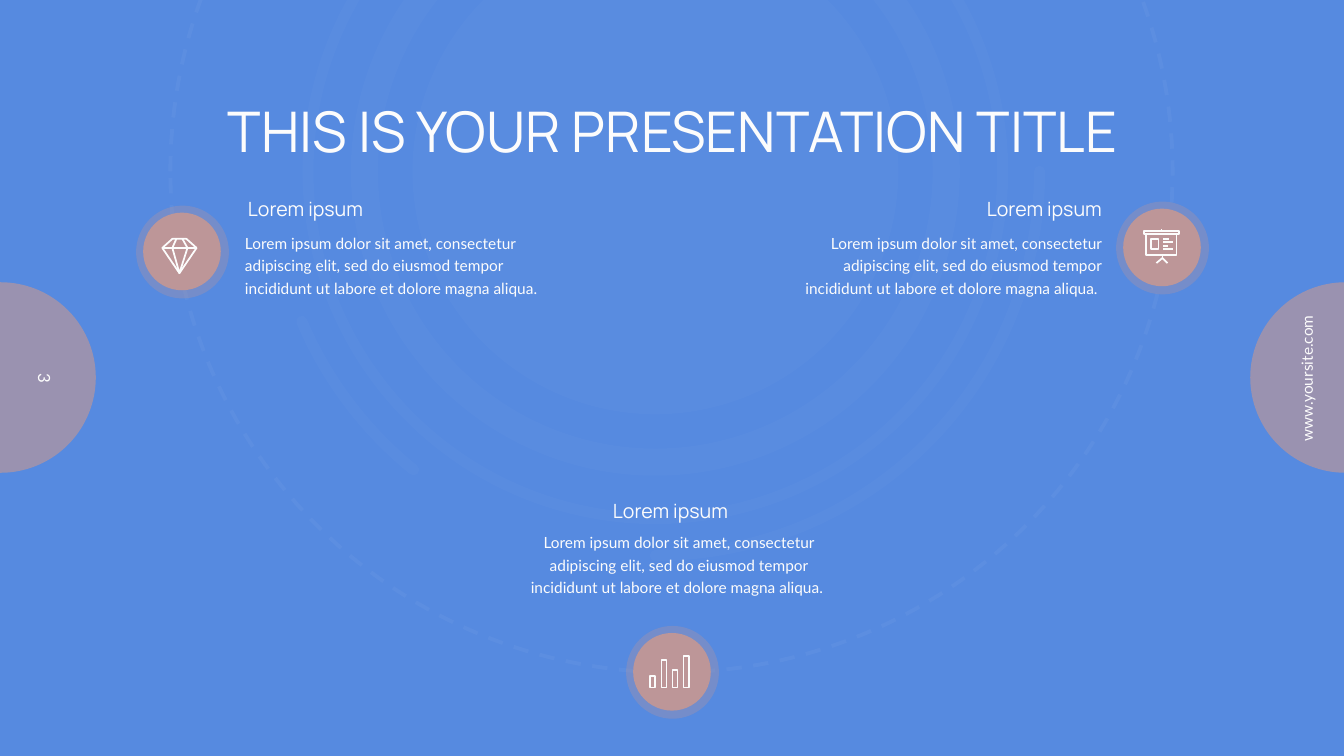
from lxml.etree import SubElement
from pptx import Presentation
from pptx.dml.color import RGBColor
from pptx.enum.dml import MSO_LINE
from pptx.enum.shapes import MSO_SHAPE
from pptx.enum.text import MSO_ANCHOR, PP_ALIGN
from pptx.oxml.ns import qn
from pptx.util import Pt

SCALE = 9144  # EMU per px, 100 px to the inch
COLORS = {"background": "568AE0", "side": "9A92B0", "badge": "BD9698", "white": "FCFCFC"}
BLURB = ("Lorem ipsum dolor sit amet, consectetur adipiscing elit, sed do "
         "eiusmod tempor incididunt ut labore et dolore magna aliqua. ")

# Icon strokes, in px from the corner of a badge: (points, closed)
DIAMOND = [
    ([(36, 33), (50, 33), (60, 42), (43, 67), (26, 42)], True),
    ([(26, 42), (60, 42)], False),
    ([(40, 33), (36, 42), (43, 67), (51, 42), (46, 33)], False),
]
BARS = [
    ([(x, top), (x + 5, top), (x + 5, 61), (x, 61)], True)
    for x, top in zip(range(24, 68, 11), (50, 34, 44, 30))
]
BOARD = [
    ([(28, 29), (62, 29), (62, 32), (28, 32)], True),
    ([(30, 32), (60, 32), (60, 53), (30, 53)], True),
    ([(35, 37), (42, 37), (42, 47), (35, 47)], True),
    ([(45, 28), (46, 28)], False),
    ([(46, 53), (46, 56)], False),
    ([(40, 61), (46, 56), (51, 61)], False),
] + [([(47, y), (end, y)], False) for y, end in ((37, 52), (40, 56), (44, 51), (47, 56))]


def px(*lengths):
    return [length * SCALE for length in lengths]


def color(name):
    return RGBColor.from_string(COLORS[name])


def set_opacity(shape, percent):
    for tint in shape.element.iter(qn("a:srgbClr")):
        SubElement(tint, qn("a:alpha"), val=str(percent * 1000))


def add_filled(page, kind, box, fill, opacity=100):
    shape = page.shapes.add_shape(kind, *px(*box))
    shape.shadow.inherit = False
    shape.fill.solid()
    shape.fill.fore_color.rgb = color(fill)
    shape.line.fill.background()
    if opacity < 100:
        set_opacity(shape, opacity)
    return shape


def set_outline(shape, width):
    shape.shadow.inherit = False
    shape.fill.background()
    shape.line.color.rgb = color("white")
    shape.line.width = Pt(width)


def add_text(page, box, text, size, font="Lato", align=PP_ALIGN.CENTER,
             inset=0, spacing=None, rotation=0, wrap=True):
    label = page.shapes.add_textbox(*px(*box))
    label.rotation = rotation
    frame = label.text_frame
    frame.word_wrap = wrap
    if inset == 0:
        frame.margin_left = frame.margin_right = 0
        frame.margin_top = frame.margin_bottom = 0
    para = frame.paragraphs[0]
    para.text = text
    para.alignment = align
    if spacing:
        para.line_spacing = spacing
    para.font.size = Pt(size)
    para.font.name = font
    para.font.color.rgb = color("white")
    return frame


def draw_sides(page, top, page_width):
    """Half circles at both edges with page number and site address."""
    size = 189
    for center in (0, page_width + 1):
        add_filled(page, MSO_SHAPE.OVAL, (center - size // 2, top, size, size), "side")
    number = add_text(page, (-3, top + 51, 95, 89), "3", 12, inset=None, rotation=90)
    number.vertical_anchor = MSO_ANCHOR.MIDDLE
    add_text(page, (page_width - 110, top + 81, 147, 29), "www.yoursite.com", 11,
             inset=None, rotation=270, wrap=False)


def draw_backdrop(page, center_x, center_y):
    """Faint disc, rings and arcs around one center."""
    def square(radius):
        return center_x - radius, center_y - radius, 2 * radius, 2 * radius

    orbit = page.shapes.add_shape(MSO_SHAPE.OVAL, *px(169, -327, 994, 994))
    set_outline(orbit, 2.75)
    orbit.line.dash_style = MSO_LINE.DASH
    set_opacity(orbit, 4)

    add_filled(page, MSO_SHAPE.OVAL, square(241), "white", 2)
    for radius, thickness in ((302, 27), (350, 11)):
        ring = add_filled(page, MSO_SHAPE.DONUT, square(radius), "white", 2)
        ring.adjustments[0] = thickness / (2 * radius)

    for start, end in ((129, 157), (0, 90)):
        arc = page.shapes.add_shape(MSO_SHAPE.ARC, *px(*square(381)))
        arc.adjustments[0] = start * 0.6  # 60000 units a degree, over 100000
        arc.adjustments[1] = end * 0.6
        set_outline(arc, 8)
        arc.line._get_or_add_ln().set("cap", "rnd")
        set_opacity(arc, 2)


def draw_badge(page, left, top, strokes):
    """Haloed circle with a line icon."""
    add_filled(page, MSO_SHAPE.OVAL, (left, top, 92, 92), "badge", 30)
    add_filled(page, MSO_SHAPE.OVAL, (left + 7, top + 7, 77, 77), "badge")
    builder = None
    for points, closed in strokes:
        points = [(left + x, top + y) for x, y in points]
        if builder is None:
            builder = page.shapes.build_freeform(*points[0], scale=SCALE)
        else:
            builder.move_to(*points[0])
        builder.add_line_segments(points[1:], close=closed)
    icon = builder.convert_to_shape()
    set_outline(icon, 1.25)
    SubElement(icon.line._get_or_add_ln(), qn("a:round"))


def draw_feature(page, heading_at, body_at, align):
    """Heading with a short text below it."""
    add_text(page, (*body_at, 305, 65), BLURB, 11, align=align, spacing=Pt(16.1))
    add_text(page, (*heading_at, 300, 24), "Lorem ipsum", 14, "Manrope", align)


def main():
    deck = Presentation()
    deck.slide_width, deck.slide_height = px(1333, 750)
    page = deck.slides.add_slide(deck.slide_layouts[6])
    page.background.fill.solid()
    page.background.fill.fore_color.rgb = color("background")

    draw_sides(page, 280, 1333)
    draw_backdrop(page, 650, 170)
    add_text(page, (84, 82, 1166, 74), "THIS IS YOUR PRESENTATION TITLE", 40,
             "Manrope", spacing=1.2)

    draw_feature(page, (246, 195), (243, 228), PP_ALIGN.LEFT)
    draw_feature(page, (515, 495), (521, 525), PP_ALIGN.CENTER)
    draw_feature(page, (793, 195), (788, 228), PP_ALIGN.RIGHT)
    draw_badge(page, 135, 204, DIAMOND)
    draw_badge(page, 621, 621, BARS)
    draw_badge(page, 1107, 200, BOARD)
    deck.save("out.pptx")


if __name__ == "__main__":
    main()
